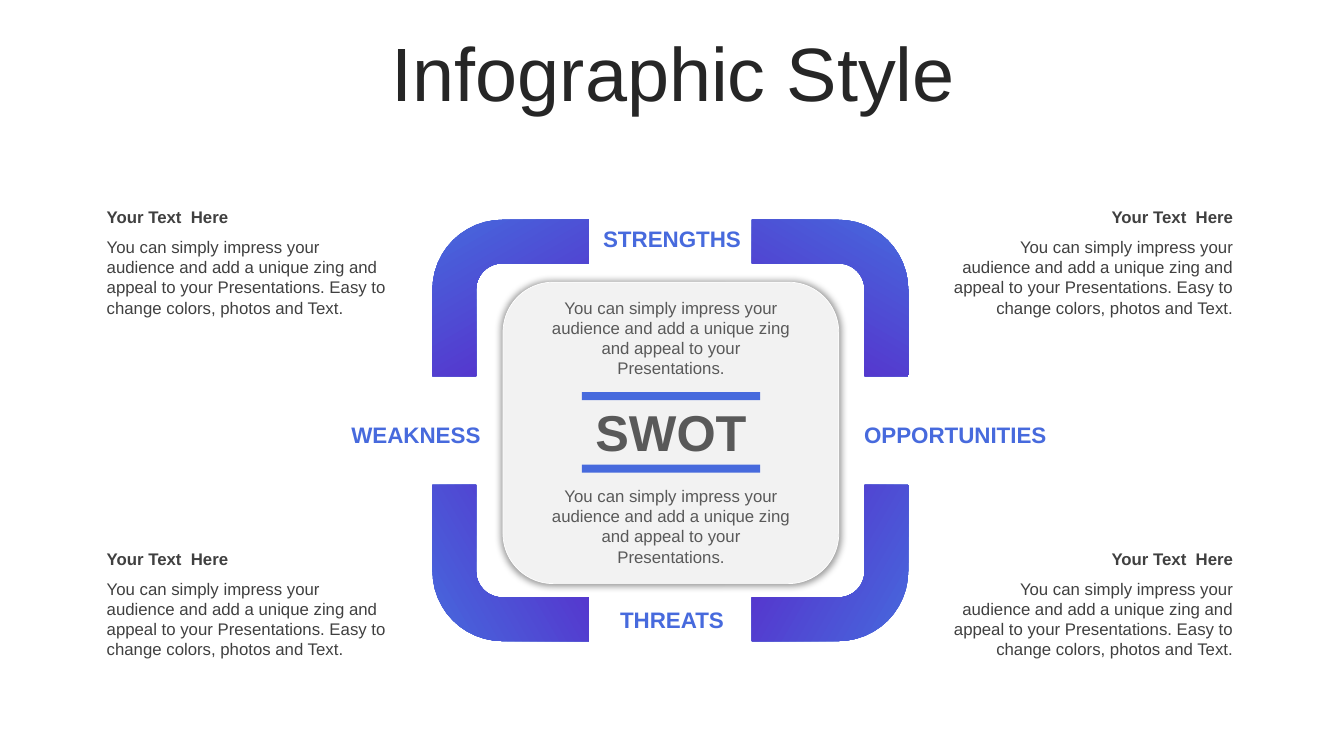
"""Build a SWOT infographic slide with a central panel and four corner brackets."""
from math import cos, pi, sin

from lxml import etree
from pptx import Presentation
from pptx.dml.color import RGBColor
from pptx.enum.shapes import MSO_SHAPE
from pptx.enum.text import MSO_ANCHOR, MSO_AUTO_SIZE, PP_ALIGN
from pptx.oxml.ns import qn
from pptx.util import Inches, Pt

LEFT, CENTER, RIGHT = PP_ALIGN.LEFT, PP_ALIGN.CENTER, PP_ALIGN.RIGHT
RECTANGLE, ROUNDED = MSO_SHAPE.RECTANGLE, MSO_SHAPE.ROUNDED_RECTANGLE
MIDDLE = MSO_ANCHOR.MIDDLE
NO_FIT, GROW = MSO_AUTO_SIZE.NONE, MSO_AUTO_SIZE.SHAPE_TO_FIT_TEXT
color = RGBColor.from_string

BLUE, GRAY, DARK = "476ADD", "595959", "404040"
PITCH = "You can simply impress your audience and add a unique zing and appeal to your Presentations."
NOTE = PITCH + " Easy to change colors, photos and Text."

deck = Presentation()
deck.slide_width, deck.slide_height = Inches(13.33), Inches(7.5)
page = deck.slides.add_slide(deck.slide_layouts[5])
column, row = deck.slide_width / 100, deck.slide_height / 100


def area(left, top, width, height):
    """Turn percentages of the slide into lengths."""
    return [round(share * unit) for share, unit in
            ((left, column), (top, row), (width, column), (height, row))]


def write(box, text, size, ink, bold=False, align=CENTER, fit=GROW):
    """Fill a box with one formatted paragraph."""
    frame = box.text_frame
    frame.word_wrap = True
    frame.auto_size = fit
    para = frame.paragraphs[0]
    para.text = text
    para.alignment = align
    para.font.name = "Arial"
    para.font.size = Pt(size)
    para.font.bold = bold
    para.font.color.rgb = color(ink)


title = page.shapes.title
title.left, title.top, title.width, title.height = area(2.63, 4.93, 94.97, 10.53)
write(title, "Infographic Style", 54, "262626", fit=NO_FIT)
title.text_frame.vertical_anchor = MIDDLE
title.text_frame.paragraphs[0].line_spacing = 0.9

panel = page.shapes.add_shape(ROUNDED, *area(37.43, 37.33, 24.98, 39.87))
panel.fill.solid()
panel.fill.fore_color.rgb = color("F2F2F2")
panel.line.color.rgb = color("FFFFFF")
panel.line.width = Pt(0.5)
panel.shadow.inherit = False
effects = panel.element.spPr.find(qn("a:effectLst"))
glow = etree.SubElement(effects, qn("a:outerShdw"), blurRad=str(Pt(5)), dist="0", dir="0",
                        sx="101000", sy="101000", algn="ctr", rotWithShape="0")
shade = etree.SubElement(glow, qn("a:srgbClr"), val="000000")
etree.SubElement(shade, qn("a:alpha"), val="40000")

for label, left, top in (("STRENGTHS", 42.16, 29.07), ("OPPORTUNITIES", 63.24, 55.07),
                         ("WEAKNESS", 23.11, 55.07), ("THREATS", 42.16, 79.47)):
    box = page.shapes.add_textbox(*area(left, top, 15.68, 4.93))
    write(box, label, 16, BLUE, bold=True)

arm, band, outer, inner = (share * column for share in (11.63, 3.25, 5.2, 1.95))
quarter = [step * pi / 24 for step in range(13)]
bracket = [(arm, band), (arm, 0)]
bracket += [(outer - outer * sin(turn), outer - outer * cos(turn)) for turn in quarter]
bracket += [(0, arm), (band, arm)]
bracket += [(outer - inner * cos(turn), outer - inner * sin(turn)) for turn in quarter]

for x_share, y_share, x_way, y_way, angle in ((32.18, 29.07, 1, 1, 300), (67.58, 29.07, -1, 1, 240),
                                              (32.18, 84.8, 1, -1, 30), (67.58, 84.8, -1, -1, 150)):
    points = [(x_share * column + x_way * x, y_share * row + y_way * y) for x, y in bracket]
    outline = page.shapes.build_freeform(*points[0])
    outline.add_line_segments(points[1:], close=True)
    corner = outline.convert_to_shape()
    corner.shadow.inherit = False
    corner.line.fill.background()
    corner.fill.gradient()
    corner.fill.gradient_angle = angle
    for stop, shade_hex in zip(corner.fill.gradient_stops, ("4669DD", "5A26C8")):
        stop.color.rgb = color(shade_hex)

center_box = page.shapes.add_textbox(*area(42.61, 52.4, 14.63, 9.47))
write(center_box, "SWOT", 36, GRAY, bold=True)

for bar_top, pitch_top in ((51.87, 38.67), (61.47, 63.6)):
    bar = page.shapes.add_shape(RECTANGLE, *area(43.29, bar_top, 13.28, 1.07))
    bar.shadow.inherit = False
    bar.fill.solid()
    bar.fill.fore_color.rgb = color(BLUE)
    bar.line.fill.background()
    box = page.shapes.add_textbox(*area(40.14, pitch_top, 19.58, 12.13))
    write(box, PITCH, 12, GRAY)

for left, width, align in ((7.2, 22.58, LEFT), (70.07, 22.43, RIGHT)):
    for top in (26.67, 71.87):
        heading = page.shapes.add_textbox(*area(left, top, width, 4))
        write(heading, "Your Text  Here", 12, DARK, bold=True, align=align)
        note = page.shapes.add_textbox(*area(left, top + 4, width, 12.13))
        write(note, NOTE, 12, DARK, align=align)

deck.save("out.pptx")
